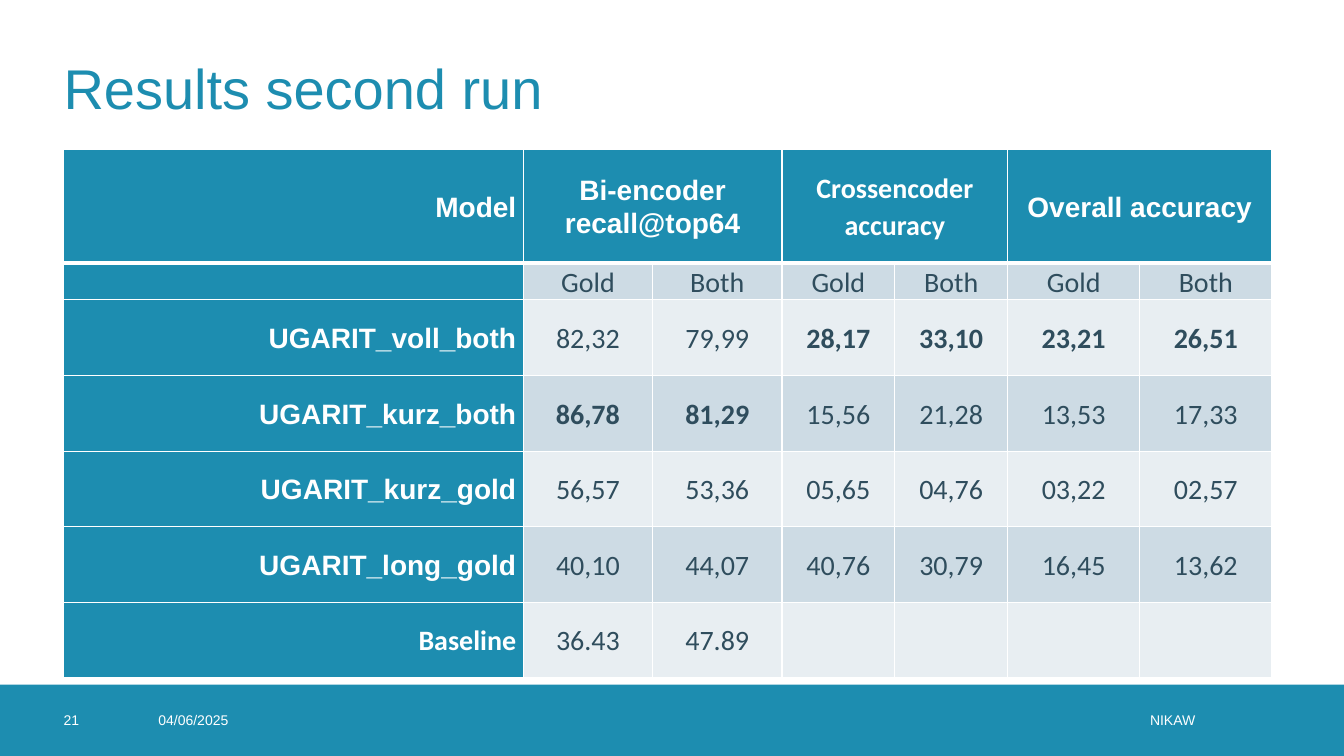
from dataclasses import dataclass

from lxml import etree
from pptx import Presentation
from pptx.dml.color import RGBColor
from pptx.enum.shapes import MSO_SHAPE
from pptx.enum.text import MSO_ANCHOR, MSO_AUTO_SIZE, PP_ALIGN
from pptx.oxml.ns import qn
from pptx.util import Pt

LEFT, CENTER, RIGHT = PP_ALIGN.LEFT, PP_ALIGN.CENTER, PP_ALIGN.RIGHT
MIDDLE = MSO_ANCHOR.MIDDLE
RECTANGLE = MSO_SHAPE.RECTANGLE
NO_AUTOFIT = MSO_AUTO_SIZE.NONE

COLORS = {
    "teal": "1D8DB0",
    "white": "FFFFFF",
    "text": "2F4D5D",
    "dark_band": "CDDBE4",
    "light_band": "E8EEF2",
}

SLIDE_W, SLIDE_H = 960, 540
MARGIN = 45.4
FOOTER_TOP, FOOTER_H = 489, 51
TABLE_TOP = 106.6
COLUMN_WIDTHS = [328.4, 92.4, 92.4, 80.6, 80.6, 94.4, 94.4]
ROW_HEIGHTS = [81.4, 23.8] + [54] * 5


@dataclass
class FooterItem:
    text: str
    left: float
    width: float
    align: PP_ALIGN = LEFT
    right_inset: float = 0


@dataclass
class HeaderGroup:
    text: str
    font: str = "Arial"


@dataclass
class ResultRow:
    model: str
    values: list[str]
    best: tuple[int, ...] = ()
    font: str = "Arial"


FOOTER = [
    FooterItem("04/06/2025", 113.2, 57),
    FooterItem("NIKAW", 475.2, 393, RIGHT, 14.4),
    FooterItem("21", MARGIN, 51),
]

GROUPS = [
    HeaderGroup("Bi-encoder recall@top64"),
    HeaderGroup("Crossencoder accuracy", "Calibri"),
    HeaderGroup("Overall accuracy"),
]

RESULTS = [
    ResultRow("", ["Gold", "Both"] * 3),
    ResultRow("UGARIT_voll_both",
              ["82,32", "79,99", "28,17", "33,10", "23,21", "26,51"], (2, 3, 4, 5)),
    ResultRow("UGARIT_kurz_both",
              ["86,78", "81,29", "15,56", "21,28", "13,53", "17,33"], (0, 1)),
    ResultRow("UGARIT_kurz_gold",
              ["56,57", "53,36", "05,65", "04,76", "03,22", "02,57"]),
    ResultRow("UGARIT_long_gold",
              ["40,10", "44,07", "40,76", "30,79", "16,45", "13,62"]),
    ResultRow("Baseline", ["36.43", "47.89", "", "", "", ""], font="Calibri"),
]


def rgb(name: str) -> RGBColor:
    return RGBColor.from_string(COLORS[name])


def format_paragraph(p, size: float, color: str, align: PP_ALIGN,
                     font: str = "Arial", bold: bool = False) -> None:
    p.alignment = align
    p.font.size = Pt(size)
    p.font.name = font
    p.font.bold = bold
    p.font.color.rgb = rgb(color)


def format_frame(tf, right_inset: float = 0) -> None:
    tf.word_wrap = True
    tf.auto_size = NO_AUTOFIT
    tf.vertical_anchor = MIDDLE
    tf.margin_left = tf.margin_top = tf.margin_bottom = 0
    tf.margin_right = Pt(right_inset)


def add_footer(s) -> None:
    band = s.shapes.add_shape(RECTANGLE, 0, Pt(FOOTER_TOP), Pt(SLIDE_W), Pt(FOOTER_H))
    band.shadow.inherit = False
    band.fill.solid()
    band.fill.fore_color.rgb = rgb("teal")
    band.line.fill.background()
    for item in FOOTER:
        box = s.shapes.add_textbox(Pt(item.left), Pt(FOOTER_TOP), Pt(item.width), Pt(FOOTER_H))
        format_frame(box.text_frame, item.right_inset)
        box.text_frame.text = item.text
        format_paragraph(box.text_frame.paragraphs[0], 10, "white", item.align)


def set_title(s, text: str) -> None:
    title = s.shapes.title
    title.left, title.top = Pt(MARGIN), Pt(16.6)
    title.width, title.height = Pt(869), Pt(90.6)
    format_frame(title.text_frame)
    title.text_frame.text = text
    format_paragraph(title.text_frame.paragraphs[0], 40, "teal", LEFT)


def add_borders(cell, top: float = 1, bottom: float = 1) -> None:
    """Draw white borders; must run before the cell gets its fill."""
    tc_pr = cell._tc.get_or_add_tcPr()
    for side, width in (("L", 1), ("R", 1), ("T", top), ("B", bottom)):
        line = etree.SubElement(tc_pr, qn(f"a:ln{side}"), w=str(Pt(width)))
        fill = etree.SubElement(line, qn("a:solidFill"))
        etree.SubElement(fill, qn("a:srgbClr"), val=COLORS["white"])


def fill_cell(cell, text: str, fill: str, color: str, align: PP_ALIGN,
              font: str, bold: bool) -> None:
    cell.fill.solid()
    cell.fill.fore_color.rgb = rgb(fill)
    cell.vertical_anchor = MIDDLE
    cell.margin_left = cell.margin_right = Pt(5)
    cell.margin_top = cell.margin_bottom = 0
    cell.text = text
    p = cell.text_frame.paragraphs[0]
    p.line_spacing = 1.07
    p.space_after = Pt(8)
    format_paragraph(p, 20, color, align, font, bold)


def add_results_table(s) -> None:
    frame = s.shapes.add_table(len(ROW_HEIGHTS), len(COLUMN_WIDTHS), Pt(MARGIN), Pt(TABLE_TOP),
                               Pt(sum(COLUMN_WIDTHS)), Pt(sum(ROW_HEIGHTS)))
    table = frame.table
    table.first_row = table.horz_banding = False
    for column, width in zip(table.columns, COLUMN_WIDTHS):
        column.width = Pt(width)
    for i, (row, height) in enumerate(zip(table.rows, ROW_HEIGHTS)):
        row.height = Pt(height)
        for cell in row.cells:
            add_borders(cell, top=3 if i == 1 else 1, bottom=3 if i == 0 else 1)

    fill_cell(table.cell(0, 0), "Model", "teal", "white", RIGHT, "Arial", True)
    for i, group in enumerate(GROUPS):
        first = table.cell(0, 1 + 2 * i)
        first.merge(table.cell(0, 2 + 2 * i))
        fill_cell(first, group.text, "teal", "white", CENTER, group.font, True)

    for i, result in enumerate(RESULTS, start=1):
        band = "dark_band" if i % 2 else "light_band"
        fill_cell(table.cell(i, 0), result.model, "teal", "white", RIGHT, result.font, True)
        for j, value in enumerate(result.values):
            fill_cell(table.cell(i, j + 1), value, band, "text", CENTER,
                      "Calibri", j in result.best)


def main() -> None:
    prs = Presentation()
    prs.slide_width, prs.slide_height = Pt(SLIDE_W), Pt(SLIDE_H)
    s = prs.slides.add_slide(prs.slide_layouts[5])
    add_footer(s)
    set_title(s, "Results second run")
    add_results_table(s)
    prs.save("out.pptx")


if __name__ == "__main__":
    main()
